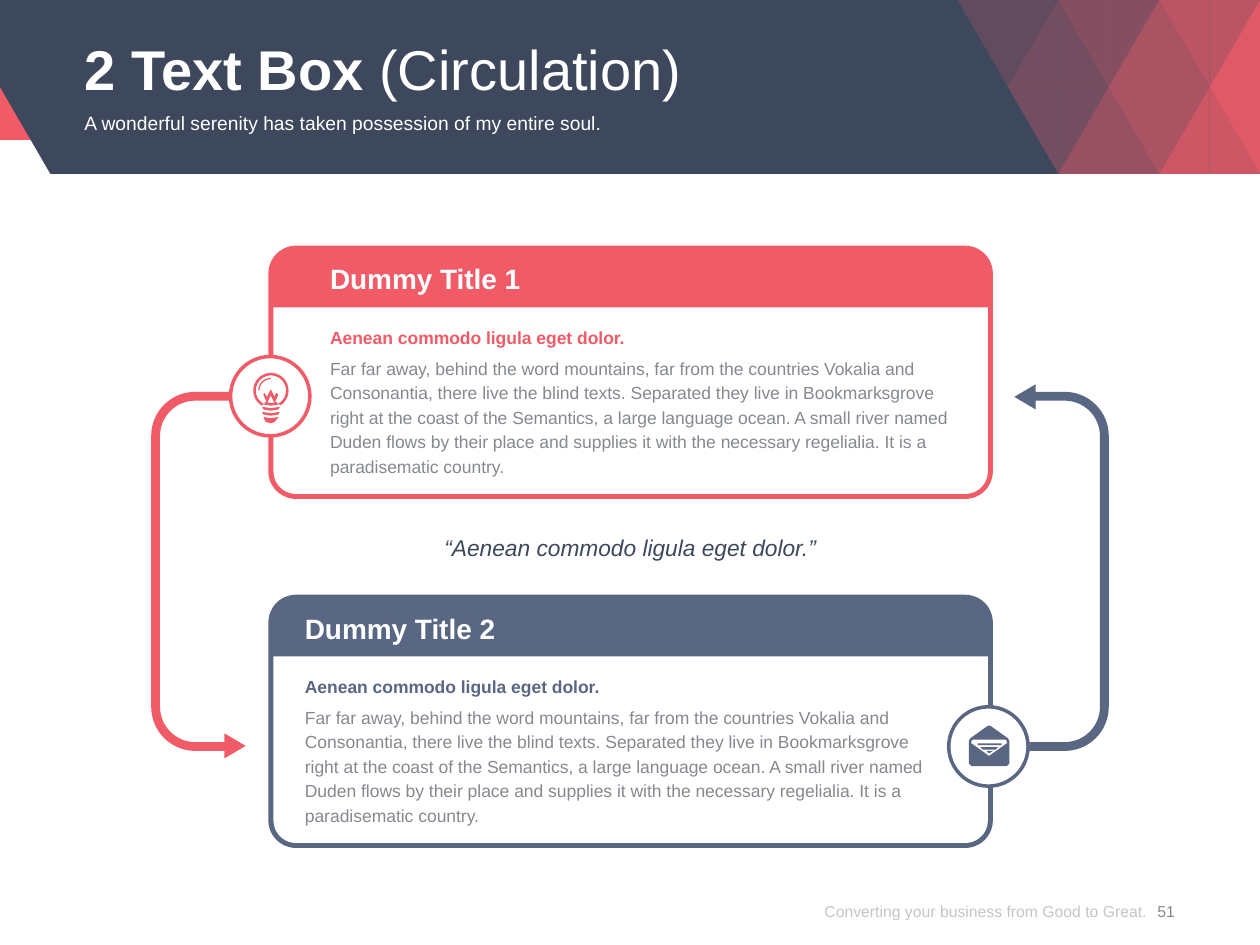
from math import cos, radians, sin

from lxml import etree
from pptx import Presentation
from pptx.dml.color import RGBColor
from pptx.enum.shapes import MSO_SHAPE as SHAPE
from pptx.enum.text import MSO_ANCHOR as ANCHOR, PP_ALIGN as ALIGN
from pptx.oxml.ns import qn
from pptx.util import Inches, Pt

COLORS = {
    "coral": "F15B67", "navy": "3D485D", "slate": "5A6783", "white": "FFFFFF",
    "gray": "85898F", "pale": "C5C5C5",
}
LEAD = "Aenean commodo ligula eget dolor."
BODY = (
    "Far far away, behind the word mountains, far from the countries Vokalia and "
    "Consonantia, there live the blind texts. Separated they live in Bookmarksgrove "
    "right at the coast of the Semantics, a large language ocean. A small river named "
    "Duden flows by their place and supplies it with the necessary regelialia. It is a "
    "paradisematic country."
)


def rgb(name):
    return RGBColor.from_string(COLORS[name])


def paint(shape, color, alpha=None):
    shape.shadow.inherit = False
    shape.fill.solid()
    shape.fill.fore_color.rgb = rgb(color)
    shape.line.fill.background()
    if alpha is not None:
        tone = shape.fill._xPr.find(qn("a:solidFill"))[0]
        etree.SubElement(tone, qn("a:alpha"), val=str(alpha * 1000))
    return shape


def add_preset(slide, kind, left, top, width, height, color):
    shape = slide.shapes.add_shape(
        kind, Inches(left), Inches(top), Inches(width), Inches(height))
    return paint(shape, color)


def add_outline(slide, left, top, contours, color, alpha=None):
    """Draw closed contours, given in inches from left and top, as one shape."""
    builder = None
    for contour in contours:
        points = [(Inches(left + x), Inches(top + y)) for x, y in contour]
        if builder is None:
            builder = slide.shapes.build_freeform(*points[0], scale=1.0)
        else:
            builder.move_to(*points[0])
        builder.add_line_segments(points[1:], close=True)
    return paint(builder.convert_to_shape(), color, alpha)


def arc(x, y, radius, start, end, steps=16):
    angles = [radians(start + (end - start) * i / steps) for i in range(steps + 1)]
    return [(x + radius * cos(angle), y + radius * sin(angle)) for angle in angles]


def add_text(slide, text, left, top, width, height, size=10, color="gray", bold=False,
             italic=False, align=ALIGN.LEFT, anchor=ANCHOR.TOP, spacing=None):
    """Text is a string, or a list of (string, bold) runs."""
    box = slide.shapes.add_textbox(
        Inches(left), Inches(top), Inches(width), Inches(height))
    frame = box.text_frame
    frame.word_wrap = True
    frame.vertical_anchor = anchor
    frame.margin_left = frame.margin_right = frame.margin_top = frame.margin_bottom = 0
    paragraph = frame.paragraphs[0]
    paragraph.alignment = align
    if spacing:
        paragraph.line_spacing = Pt(spacing)
    for words, weight in [(text, bold)] if isinstance(text, str) else text:
        run = paragraph.add_run()
        run.text = words
        font = run.font
        font.name, font.size, font.bold, font.italic = "Arial", Pt(size), weight, italic
        font.color.rgb = rgb(color)


def add_header(slide, left, top, width, height):
    add_preset(slide, SHAPE.RECTANGLE, left, top, width, 1.11, "coral")
    row = height / 2
    add_outline(slide, left, top, [[
        (0, 0), (width, 0), (width, height), (0.4, height), (0, row)]], "navy")

    # Triangle mosaic: opacities by row, None where a row starts later
    step = 0.4
    for row_index, alphas in enumerate([(20, 30, 40, 60, 70, 90),
                                        (None, 30, 50, 60, 80, 90)]):
        for column, alpha in enumerate(alphas):
            if alpha is None:
                continue
            center = width - (5 - column) * step
            base = row * column_base(row_index, column)
            tip = row * (2 * row_index + 1) - base
            for side in (-step, step):
                if center + side <= width + 0.01:
                    add_outline(slide, left, top, [[
                        (center, tip), (center, base), (center + side, base)]],
                        "coral", alpha)

    add_text(slide, [("2 Text Box ", True), ("(Circulation)", False)],
             left + 0.67, top + 0.19, 8.66, 0.65, size=32, color="white",
             anchor=ANCHOR.MIDDLE, spacing=42)
    add_text(slide, "A wonderful serenity has taken possession of my entire soul.",
             left + 0.67, top + 0.88, 8.66, 0.39, size=11, color="white")


def column_base(row_index, column):
    """Grid line of the flat side; triangles alternate pointing down and up."""
    return row_index + (column + row_index) % 2


def add_turn_arrow(slide, left, top, color, turned=False):
    width, height, band, radius = 0.75, 2.91, 0.07, 0.35
    low = height - 0.06  # outer edge of the lower arm
    inner = radius - band
    points = [(0.63, 0), *arc(radius, radius, radius, 270, 180),
              *arc(radius, low - radius, radius, 180, 90),
              (0.58, low), (0.58, height), (width, height - 0.1),
              (0.58, height - 0.2), (0.58, low - band),
              *arc(radius, low - radius, inner, 90, 180),
              *arc(radius, radius, inner, 180, 270), (0.63, band)]
    if turned:
        points = [(width - x, height - y) for x, y in points]
    add_outline(slide, left, top, [points], color)


def add_card(slide, left, top, title, color, indent):
    width, height, edge, bar = 5.75, 2.01, 0.04, 0.49
    frame = add_preset(slide, SHAPE.ROUNDED_RECTANGLE, left, top, width, height, color)
    frame.adjustments[0] = 0.22 / height
    inner_height = height - bar - edge
    panel = add_preset(slide, SHAPE.ROUND_2_SAME_RECTANGLE, left + edge, top + bar,
                       width - 2 * edge, inner_height, "white")
    panel.adjustments[0] = 0.18 / inner_height
    panel.rotation = 180

    x = left + indent
    add_text(slide, title, x, top + 0.13, 5.04, 0.27, size=16, color="white", bold=True)
    add_text(slide, LEAD, x, top + 0.62, 5.04, 0.18, color=color, bold=True, spacing=14)
    add_text(slide, BODY, x, top + 0.86, 5.04, 0.98, spacing=14)


def add_badge(slide, left, top, color):
    ring = add_preset(slide, SHAPE.OVAL, left + 0.01, top + 0.01, 0.63, 0.63, "white")
    ring.line.color.rgb = rgb(color)
    ring.line.width = Pt(2)


def add_bulb(slide, left, top, color):
    middle = 0.14
    glass = [*arc(middle, middle, 0.14, 122, 418, 32), (0.2, 0.29), (0.14, 0.3), (0.08, 0.29)]
    hollow = [*arc(middle, middle, 0.12, 115, 425, 32), (0.19, 0.27), (0.14, 0.28), (0.09, 0.27)]
    hollow[-3:] = [(0.19, 0.27), (0.14, 0.28), (0.09, 0.27)]
    thread = [(0.07, 0.27), (0.14, 0.28), (0.21, 0.27), (0.2, 0.29), (0.14, 0.3), (0.08, 0.29)]
    lower_thread = [(x, y + 0.04) for x, y in thread]
    foot = [(0.08, 0.35), (0.14, 0.36), (0.2, 0.35), (0.17, 0.39), (0.14, 0.4), (0.1, 0.39)]
    glass[-3:] = [(0.21, 0.25), (0.14, 0.26), (0.08, 0.25)]
    hollow[-3:] = [(0.19, 0.23), (0.14, 0.24), (0.09, 0.23)]
    filament = [(0.18, 0.16), (0.17, 0.19), (0.14, 0.13), (0.11, 0.19), (0.09, 0.16),
                (0.08, 0.17), (0.11, 0.24), (0.14, 0.18), (0.17, 0.24), (0.2, 0.17)]
    shine = arc(middle, middle, 0.1, 180, 270) + arc(middle, middle, 0.09, 270, 180)
    add_outline(slide, left, top, [glass, hollow, thread, lower_thread, foot], color)
    add_outline(slide, left, top, [filament, shine], color)


def add_envelope(slide, left, top, color):
    cover = [(0, 0.12), (0.01, 0.1), (0.15, 0), (0.17, 0), (0.31, 0.1), (0.32, 0.12),
             (0.32, 0.3), (0.3, 0.32), (0.02, 0.32), (0, 0.3)]
    letter = [(0.02, 0.12), (0.03, 0.11), (0.29, 0.11), (0.3, 0.12), (0.3, 0.14),
              (0.16, 0.24), (0.02, 0.14)]
    lines = [[(0.07, 0.14), (0.26, 0.14), (0.26, 0.155), (0.07, 0.155)],
             [(0.09, 0.17), (0.23, 0.17), (0.21, 0.19), (0.11, 0.19)],
             [(0.14, 0.2), (0.19, 0.2), (0.16, 0.22)]]
    add_outline(slide, left, top, [cover, letter, *lines], color)


def add_footer(slide, left, top, height):
    add_text(slide, "Converting your business from Good to Great.", left, top, 3.06,
             height, size=9, color="pale", align=ALIGN.RIGHT, anchor=ANCHOR.MIDDLE)
    add_text(slide, "51", left + 2.98, top, 0.47, height, size=9,
             align=ALIGN.CENTER, anchor=ANCHOR.MIDDLE)


def main():
    presentation = Presentation()
    presentation.slide_width, presentation.slide_height = Inches(10), Inches(7.5)
    slide = presentation.slides.add_slide(presentation.slide_layouts[6])
    add_header(slide, 0, 0, 10, 1.38)
    # Circulation arrows
    add_turn_arrow(slide, 1.2, 3.11, "coral")
    add_turn_arrow(slide, 8.05, 3.05, "slate", turned=True)
    # Cards with their badges
    add_card(slide, 2.13, 1.95, "Dummy Title 1", "coral", indent=0.49)
    add_card(slide, 2.13, 4.72, "Dummy Title 2", "slate", indent=0.29)
    add_badge(slide, 1.82, 2.82, "coral")
    add_bulb(slide, 2.01, 2.96, "coral")
    add_badge(slide, 7.52, 5.6, "slate")
    add_envelope(slide, 7.69, 5.76, "slate")
    add_text(slide, f"“{LEAD}”", 2.6, 4.26, 4.8, 0.2, size=13, color="navy",
             italic=True, align=ALIGN.CENTER, spacing=14)
    add_footer(slide, 6.04, 6.96, 0.54)
    presentation.save("out.pptx")


if __name__ == "__main__":
    main()
